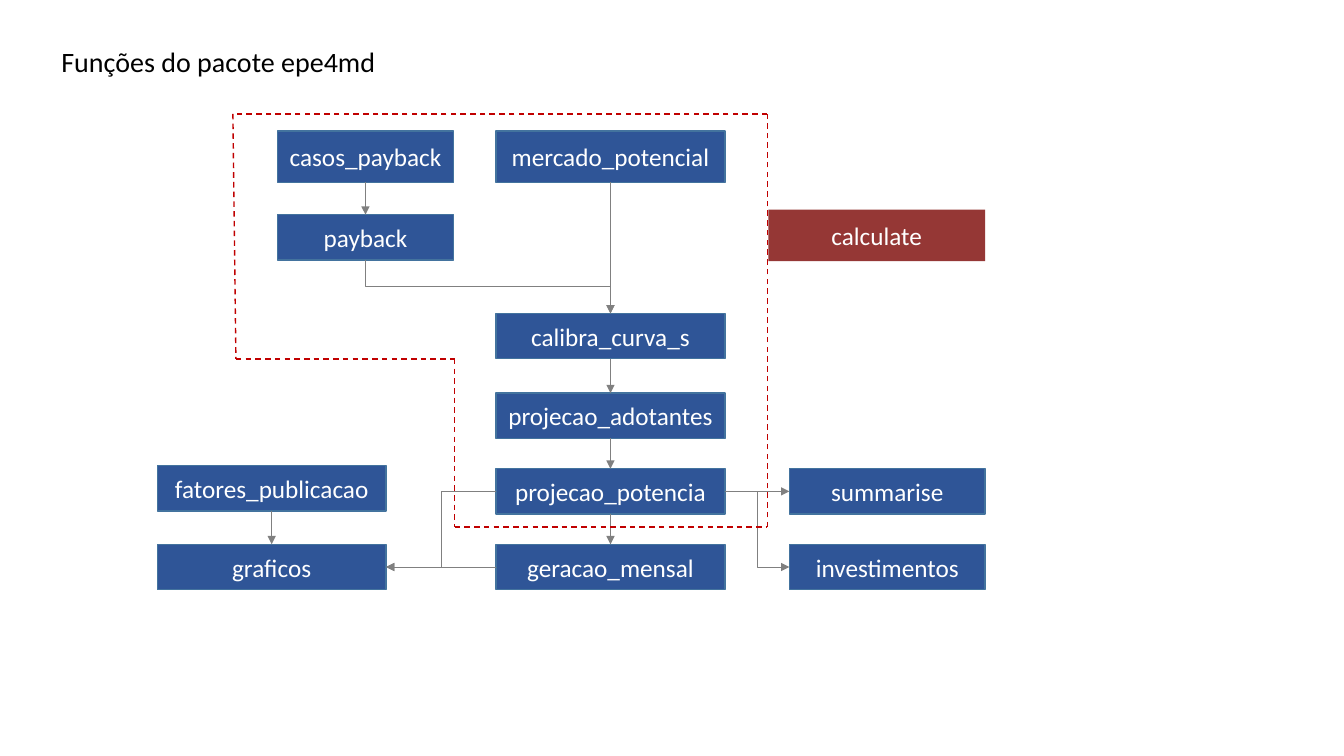
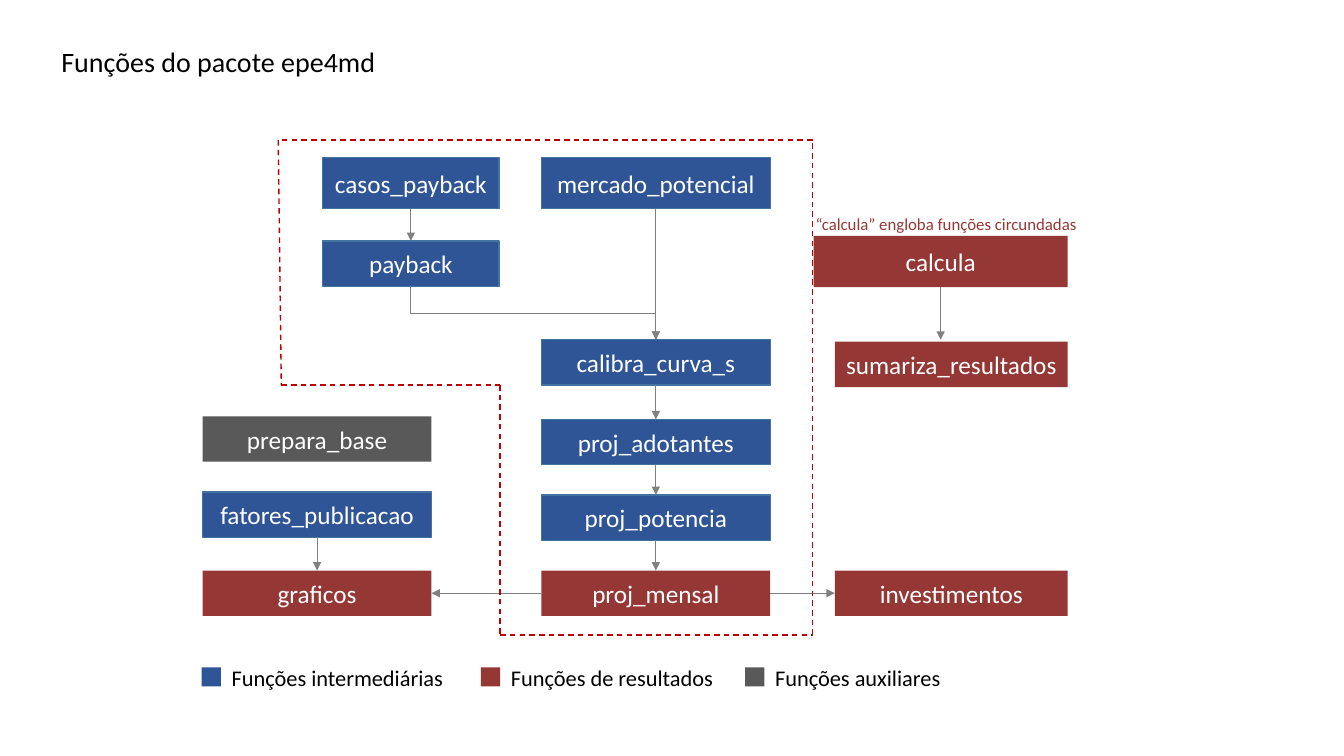
from itertools import pairwise
from lxml import etree
from pptx import Presentation
from pptx.dml.color import RGBColor
from pptx.enum.dml import MSO_LINE
from pptx.enum.shapes import MSO_CONNECTOR as CONNECTOR, MSO_SHAPE
from pptx.enum.text import MSO_ANCHOR, MSO_AUTO_SIZE, PP_ALIGN
from pptx.oxml.ns import qn
from pptx.util import Inches, Pt

BLUE = RGBColor(0x2F, 0x55, 0x97)
BLUE_EDGE = RGBColor(0x43, 0x73, 0x9E)
RED = RGBColor(0x95, 0x37, 0x35)
DARK_GRAY = RGBColor(0x59, 0x59, 0x59)
ARROW_GRAY = RGBColor(0x80, 0x80, 0x80)
OUTLINE_RED = RGBColor(0xC0, 0x00, 0x00)
WHITE = RGBColor(0xFF, 0xFF, 0xFF)
BLACK = RGBColor(0x00, 0x00, 0x00)
TOP, LEFT, BOTTOM, RIGHT = range(4)
LOW, TALL = 0.45, 0.51


def write(shape, text, size, color):
    frame = shape.text_frame
    paragraph = frame.paragraphs[0]
    run = paragraph.add_run()
    run.text = text
    settings = {"name": "Calibri", "size": Pt(size)}
    for name, value in settings.items():
        setattr(run.font, name, value)
    run.font.color.rgb = color
    return frame, paragraph


def style_line(connector, color, width, arrow):
    connector.line.color.rgb = color
    connector.line.width = Pt(width)
    if arrow:
        line = connector.line._get_or_add_ln()
        etree.SubElement(line, qn("a:tailEnd"), type="triangle")
    else:
        connector.line.dash_style = MSO_LINE.DASH
    etree.SubElement(connector._element.spPr, qn("a:effectLst"))


diagrams = [
    {
        "shift": (0, 0),
        "steps": ["projecao_adotantes", "projecao_potencia", "geracao_mensal"],
        "wrapper": "calculate",
        "right_width": 1.94,
        "extra": [("summarise", 7.83, 4.65, 1.94, LOW, BLUE)],
        "results": [],
        "outline_bottom": 5.23,
        "links": [
            ("projecao_potencia", LEFT, "graficos", RIGHT, "side"),
            ("projecao_potencia", RIGHT, "summarise", LEFT, "straight"),
            ("projecao_potencia", RIGHT, "investimentos", LEFT, "side"),
        ],
    },
    {
        "shift": (0.45, 0.26),
        "steps": ["proj_adotantes", "proj_potencia", "proj_mensal"],
        "wrapper": "calcula",
        "right_width": 2.31,
        "extra": [
            ("sumariza_resultados", 7.83, 3.13, 2.31, LOW, RED),
            ("prepara_base", 1.56, 3.87, 2.27, LOW, DARK_GRAY),
        ],
        "results": ["proj_mensal", "investimentos", "graficos"],
        "outline_bottom": 6.04,
        "links": [("proj_mensal", RIGHT, "investimentos", LEFT, "straight")],
    },
]

presentation = Presentation()
presentation.slide_width = Inches(13.33)
presentation.slide_height = Inches(7.5)

for diagram in diagrams:
    slide = presentation.slides.add_slide(presentation.slide_layouts[6])
    shift_x, shift_y = diagram["shift"]
    adopters, power, monthly = diagram["steps"]
    right_width = diagram["right_width"]

    labels = [("Funções do pacote epe4md", 0.51, 0.39, 6.69, 0.44, 20, BLACK)]
    if diagram["wrapper"] == "calcula":
        labels.append(("“calcula” engloba funções circundadas", 7.99, 2.07, 2.82, 0.3, 12, RED))
        legend = [
            ("Funções intermediárias", 2, BLUE),
            ("Funções de resultados", 4.77, RED),
            ("Funções auxiliares", 7.39, DARK_GRAY),
        ]
        for text, left, color in legend:
            swatch = slide.shapes.add_shape(
                MSO_SHAPE.RECTANGLE, Inches(left), Inches(6.62), Inches(0.19), Inches(0.19))
            swatch.shadow.inherit = False
            swatch.fill.solid()
            swatch.fill.fore_color.rgb = color
            swatch.line.fill.background()
            labels.append((text, left + 0.2, 6.54, 2.37, 0.37, 16, BLACK))

    for text, left, top, width, height, size, color in labels:
        label = slide.shapes.add_textbox(Inches(left), Inches(top), Inches(width), Inches(height))
        frame, paragraph = write(label, text, size, color)
        frame.word_wrap = True
        frame.auto_size = MSO_AUTO_SIZE.SHAPE_TO_FIT_TEXT

    functions = [
        ("casos_payback", 2.75, 1.3, 1.75, TALL, BLUE),
        ("payback", 2.75, 2.13, 1.75, LOW, BLUE),
        ("mercado_potencial", 4.92, 1.3, 2.27, TALL, BLUE),
        ("calibra_curva_s", 4.92, 3.11, 2.27, LOW, BLUE),
        (adopters, 4.92, 3.9, 2.27, LOW, BLUE),
        (power, 4.92, 4.65, 2.27, LOW, BLUE),
        (monthly, 4.92, 5.4, 2.27, LOW, BLUE),
        ("investimentos", 7.83, 5.4, right_width, LOW, BLUE),
        ("graficos", 1.56, 5.4, 2.27, LOW, BLUE),
        ("fatores_publicacao", 1.56, 4.62, 2.27, LOW, BLUE),
        (diagram["wrapper"], 7.62, 2.08, right_width + 0.21, TALL, RED),
    ]
    boxes = {}
    for text, left, top, width, height, color in functions + diagram["extra"]:
        box = slide.shapes.add_shape(
            MSO_SHAPE.RECTANGLE, Inches(left + shift_x), Inches(top + shift_y),
            Inches(width), Inches(height))
        box.shadow.inherit = False
        box.fill.solid()
        box.fill.fore_color.rgb = RED if text in diagram["results"] else color
        if box.fill.fore_color.rgb == BLUE:
            box.line.color.rgb = BLUE_EDGE
            box.line.width = Pt(1)
        else:
            box.line.fill.background()
        frame, paragraph = write(box, text, 18, WHITE)
        frame.word_wrap = False
        frame.vertical_anchor = MSO_ANCHOR.MIDDLE
        paragraph.alignment = PP_ALIGN.CENTER
        boxes[text] = box

    links = [
        ("casos_payback", BOTTOM, "payback", TOP, "straight"),
        ("payback", BOTTOM, "calibra_curva_s", TOP, "down"),
        ("mercado_potencial", BOTTOM, "calibra_curva_s", TOP, "straight"),
        ("calibra_curva_s", BOTTOM, adopters, TOP, "straight"),
        (adopters, BOTTOM, power, TOP, "straight"),
        (power, BOTTOM, monthly, TOP, "straight"),
        ("fatores_publicacao", BOTTOM, "graficos", TOP, "straight"),
        (monthly, LEFT, "graficos", RIGHT, "straight"),
    ]
    for source, source_side, target, target_side, route in links + diagram["links"]:
        kind = CONNECTOR.STRAIGHT if route == "straight" else CONNECTOR.ELBOW
        arrow = slide.shapes.add_connector(kind, 0, 0, 0, 0)
        arrow.begin_connect(boxes[source], source_side)
        arrow.end_connect(boxes[target], target_side)
        if route == "down":
            across, down = arrow.width, arrow.height
            arrow.left += (across - down) // 2
            arrow.top += (down - across) // 2
            arrow.width, arrow.height = down, across
            transform = arrow._element.spPr.find(qn("a:xfrm"))
            transform.set("rot", "16200000")
            transform.set("flipH", "1")
        style_line(arrow, ARROW_GRAY, 0.5, True)

    if "sumariza_resultados" in boxes:
        wrapper = boxes[diagram["wrapper"]]
        center = wrapper.left + wrapper.width // 2
        arrow = slide.shapes.add_connector(
            CONNECTOR.STRAIGHT, center, wrapper.top + wrapper.height, center, Inches(3.37))
        style_line(arrow, ARROW_GRAY, 0.5, True)

    bottom = diagram["outline_bottom"]
    corners = [(2.31, 1.13), (2.34, 3.56), (4.51, 3.56), (4.51, bottom),
               (7.61, bottom), (7.61, 1.13), (2.31, 1.13)]
    for start, end in pairwise(corners):
        edge = slide.shapes.add_connector(
            CONNECTOR.STRAIGHT, Inches(start[0] + shift_x), Inches(start[1] + shift_y),
            Inches(end[0] + shift_x), Inches(end[1] + shift_y))
        style_line(edge, OUTLINE_RED, 1, False)

presentation.save("out.pptx")
